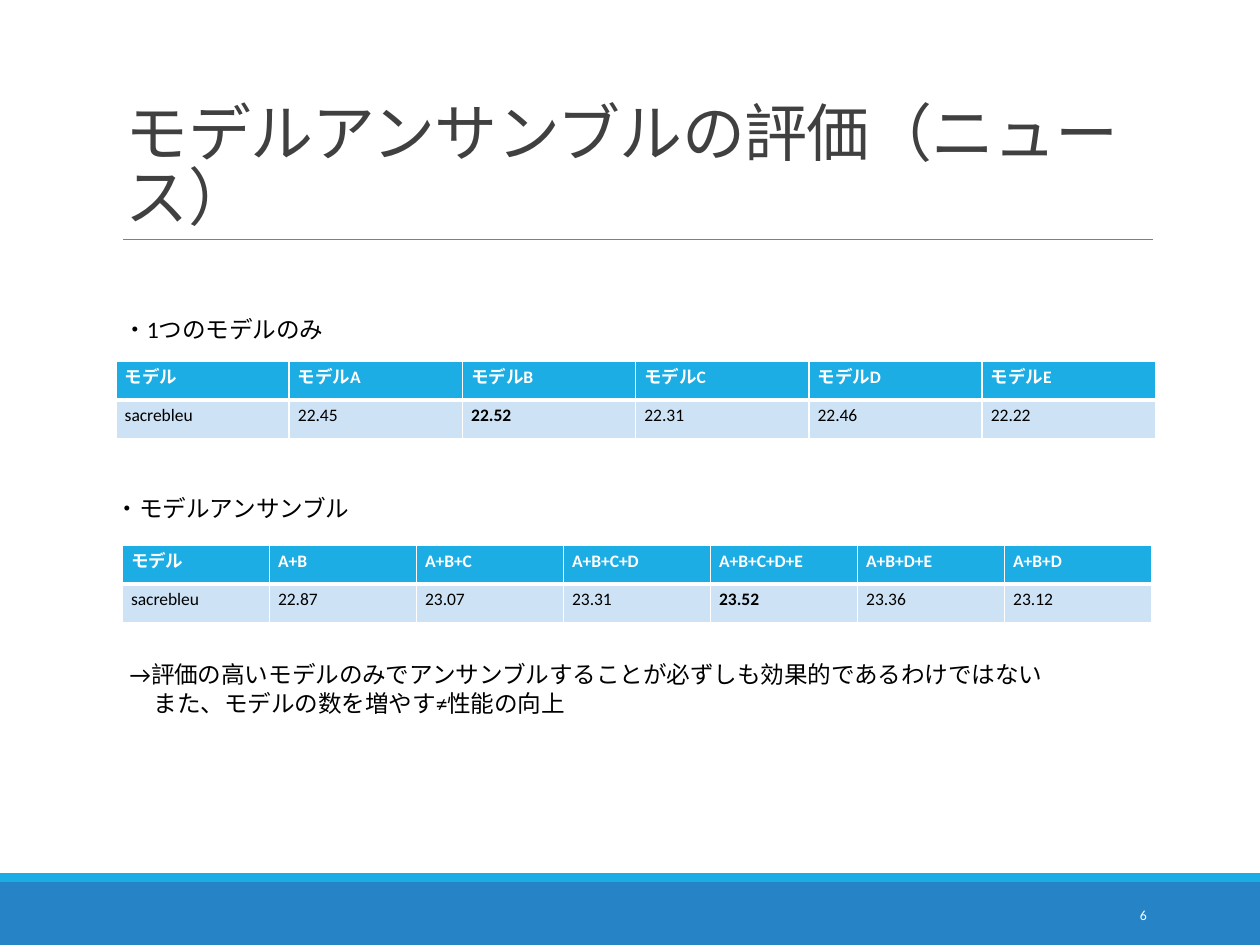
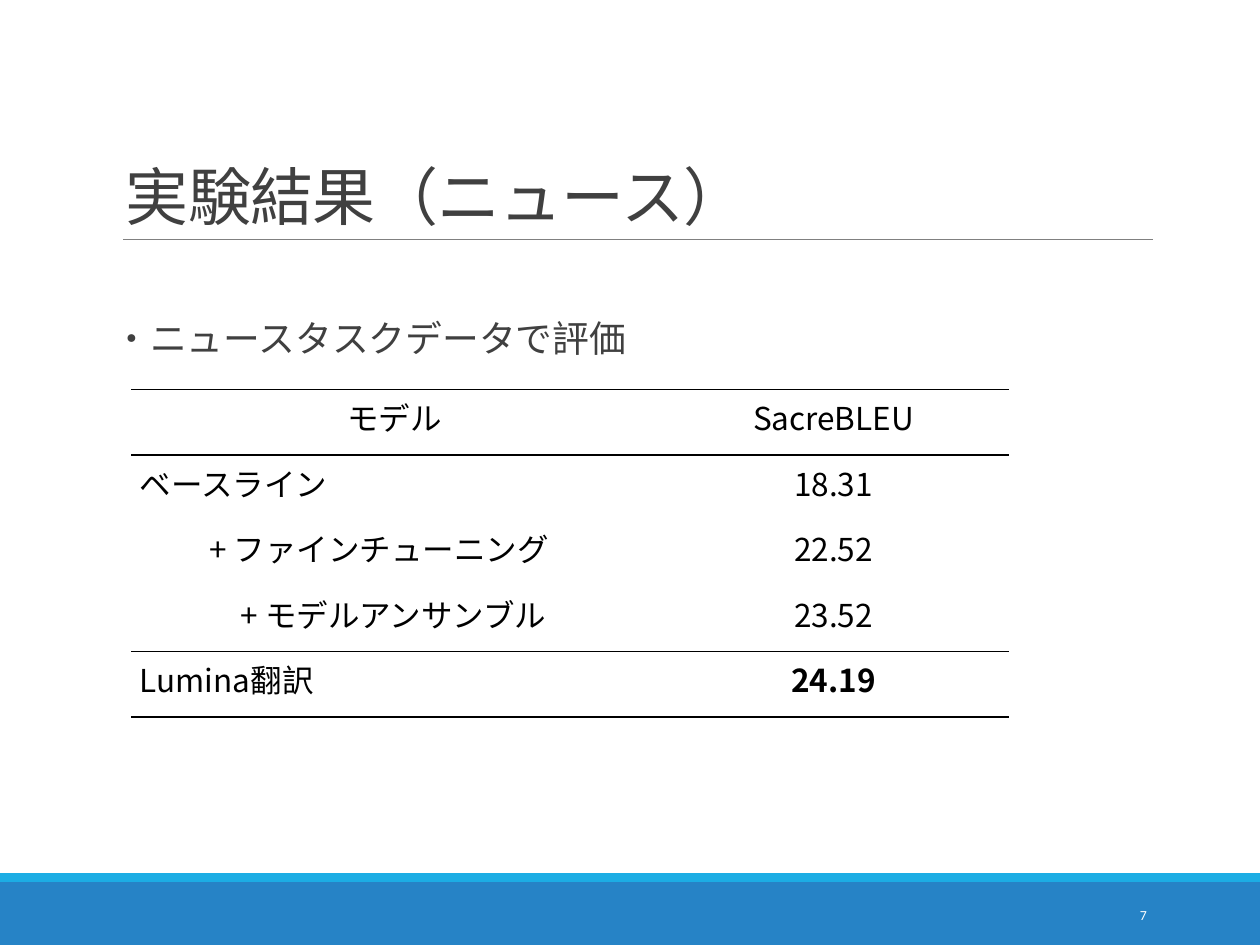
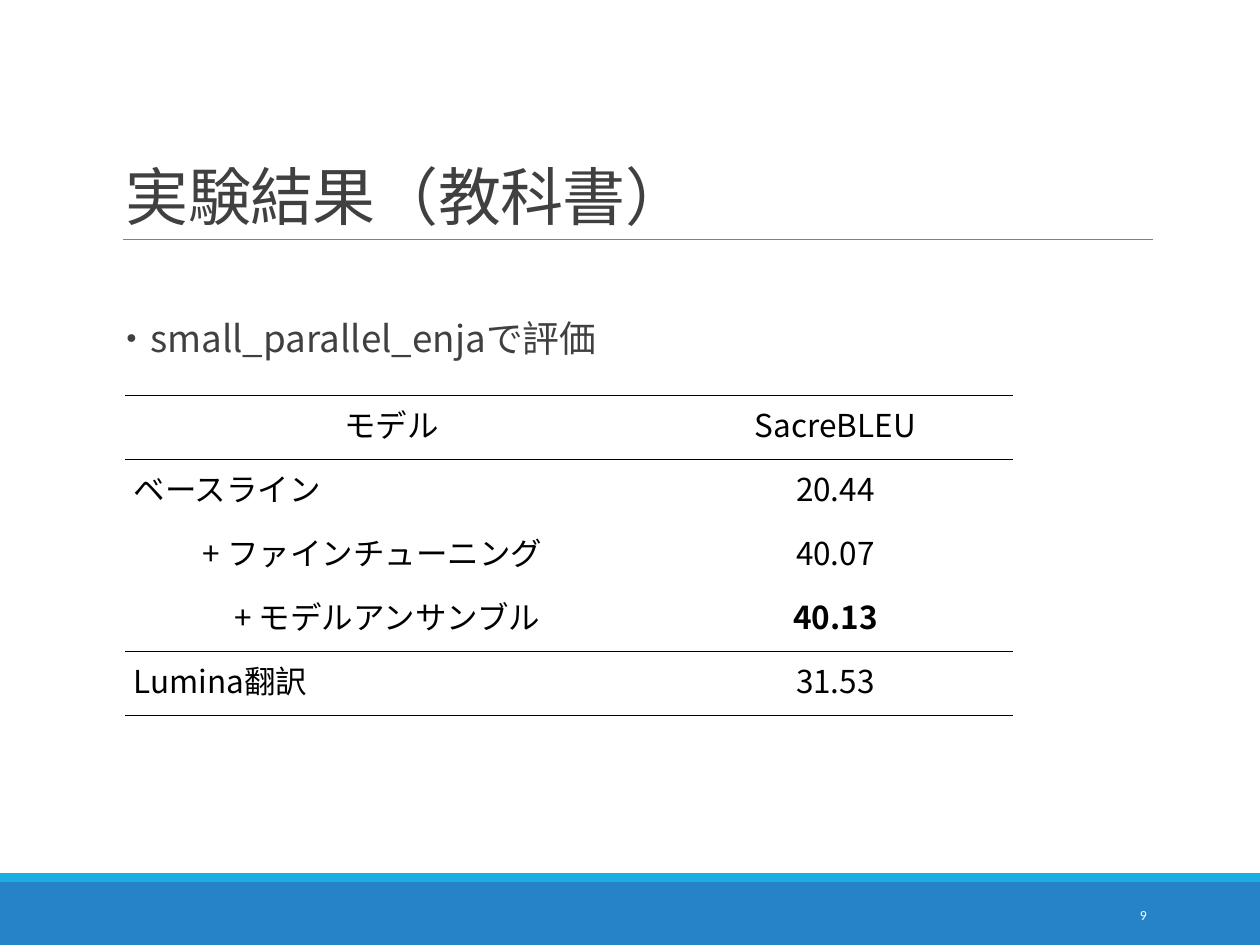
from lxml import etree
from pptx import Presentation
from pptx.dml.color import RGBColor
from pptx.enum import shapes, text
from pptx.oxml import ns
from pptx.util import Inches, Pt

LATIN, GOTHIC = "Calibri", "Noto Sans CJK JP"
BLUE, CYAN, PALE = "2683C6", "1CADE4", "CDE3F5"
INK, BLACK, WHITE, GRAY = "404040", "000000", "FFFFFF", "808080"
INSET_X, INSET_Y = 0.07, 0.04
SIDES = "LRTB"


def color(value):
    return RGBColor.from_string(value)


def child(parent, tag, **attributes):
    return etree.SubElement(parent, ns.qn(tag), attributes)


def set_typeface(font, name):
    font.name = name
    child(font._rPr, "a:ea", typeface=name)


def style(paragraph, size, ink, name, bold=False, align=text.PP_ALIGN.LEFT):
    paragraph.alignment = align
    font = paragraph.font
    font.size, font.bold = Pt(size), bold
    font.color.rgb = color(ink)
    set_typeface(font, name)


def add_runs(paragraph, runs):
    for words, name in runs:
        run = paragraph.add_run()
        run.text = words
        set_typeface(run.font, name)


def text_frame(slide, box, inset_x=0.1, inset_y=0.05, anchor=text.MSO_ANCHOR.TOP):
    frame = slide.shapes.add_textbox(*map(Inches, box)).text_frame
    frame.word_wrap = True
    frame.vertical_anchor = anchor
    frame.margin_left = frame.margin_right = Inches(inset_x)
    frame.margin_top = frame.margin_bottom = Inches(inset_y)
    return frame


def add_band(slide, box, fill):
    band = slide.shapes.add_shape(shapes.MSO_SHAPE.RECTANGLE, *map(Inches, box))
    band.shadow.inherit = False
    band.fill.solid()
    band.fill.fore_color.rgb = color(fill)
    band.line.fill.background()


def add_footer(slide, box, number):
    left, top, width, height = box
    stripe = 0.07
    add_band(slide, (left, top + stripe, width, height - stripe), BLUE)
    add_band(slide, (left, top, width, stripe), CYAN)
    frame = text_frame(slide, (left + 8.12, top + 0.13, 1.08, 0.4),
                       anchor=text.MSO_ANCHOR.MIDDLE)
    paragraph = frame.paragraphs[0]
    paragraph.text = str(number)
    style(paragraph, 7.9, WHITE, LATIN, align=text.PP_ALIGN.RIGHT)


def add_title(slide, box, runs):
    left, top, width, height = box
    bottom = top + height
    rule = slide.shapes.add_connector(
        shapes.MSO_CONNECTOR.STRAIGHT,
        *map(Inches, (left + 0.08, bottom, left + width, bottom)))
    rule.line.color.rgb = color(GRAY)
    rule.line.width = Pt(0.5)
    child(rule._element.spPr, "a:effectLst")
    paragraph = text_frame(slide, box, anchor=text.MSO_ANCHOR.BOTTOM).paragraphs[0]
    add_runs(paragraph, runs)
    paragraph.line_spacing = 0.85
    style(paragraph, 36, INK, LATIN)
    for run in paragraph.runs:
        run.font._rPr.set("spc", "-40")


def add_note(slide, box, lines):
    frame = text_frame(slide, box, INSET_X, INSET_Y)
    for index, (words, indent) in enumerate(lines):
        paragraph = frame.paragraphs[0] if index == 0 else frame.add_paragraph()
        paragraph.text = words
        paragraph._p.get_or_add_pPr().set("marL", str(Inches(indent)))
        style(paragraph, 13.5, BLACK, LATIN)


def add_lead(slide, box, words):
    paragraph = text_frame(slide, box, 0, INSET_Y).paragraphs[0]
    add_runs(paragraph, [("・", LATIN), (words, GOTHIC)])
    paragraph.line_spacing = 0.9
    style(paragraph, 21, INK, LATIN)


def set_borders(cell, borders):
    properties = cell._tc.get_or_add_tcPr()
    for side in SIDES:
        ink, width = borders.get(side, (None, 0))
        line = child(properties, f"a:ln{side}", w=str(Pt(width)))
        if ink:
            child(child(line, "a:solidFill"), "a:srgbClr", val=ink)
        else:
            child(line, "a:noFill")


def add_grid(slide, box, rows):
    table = slide.shapes.add_table(len(rows), len(rows[0]), *map(Inches, box)).table
    table.first_row = table.horz_banding = False
    for r, row in enumerate(rows):
        for c, words in enumerate(row):
            cell = table.cell(r, c)
            cell.text = words
            cell.margin_left = cell.margin_right = Inches(INSET_X)
            cell.margin_top = cell.margin_bottom = Inches(INSET_Y)
            yield r, c, cell, table


def add_score_table(slide, box, models, scores, best):
    rows = [["モデル", *models], ["sacrebleu", *scores]]
    for r, c, cell, table in add_grid(slide, box, rows):
        header = r == 0
        borders = dict.fromkeys(SIDES, (WHITE, 1))
        borders["B" if header else "T"] = (WHITE, 3)
        set_borders(cell, borders)
        cell.fill.solid()
        cell.fill.fore_color.rgb = color(CYAN if header else PALE)
        style(cell.text_frame.paragraphs[0], 10, WHITE if header else BLACK,
              LATIN, header or cell.text == best)


def add_result_table(slide, box, scores, best):
    models = ["ベースライン", "+ ファインチューニング", "+ モデルアンサンブル", "Lumina翻訳"]
    indents = [0, 0, 0.55, 0.8, 0]
    ruled = {0: "TB", 1: "T", 3: "B", 4: "TB"}
    rows = [("モデル", "SacreBLEU"), *zip(models, scores)]
    for r, c, cell, table in add_grid(slide, box, rows):
        set_borders(cell, dict.fromkeys(ruled.get(r, ""), (BLACK, 1)))
        cell.fill.background()
        centred = r == 0 or c == 1
        if c == 0:
            cell.margin_left = Inches(INSET_X + indents[r])
        style(cell.text_frame.paragraphs[0], 18, BLACK, GOTHIC, cell.text == best,
              text.PP_ALIGN.CENTER if centred else text.PP_ALIGN.LEFT)
    for column, share in zip(table.columns, (0.6, 0.4)):
        column.width = Inches(box[2] * share)


def add_page(deck, title, number):
    slide = deck.slides.add_slide(deck.slide_layouts[6])
    add_footer(slide, (0, 6.93, 10, 0.57), number)
    add_title(slide, (0.9, 0.31, 8.25, 1.59), title)
    return slide


def ensemble_page(deck):
    slide = add_page(deck, [("モデルアンサンブルの評価（ニュース）", LATIN)], 6)
    add_note(slide, (0.91, 2.46, 3.43, 0.3), [("・1つのモデルのみ", 0)])
    add_score_table(slide, (0.92, 2.87, 8.25, 0.61), [f"モデル{name}" for name in "ABCDE"],
                    ["22.45", "22.52", "22.31", "22.46", "22.22"], "22.52")
    add_note(slide, (0.85, 3.88, 2.25, 0.3), [("・モデルアンサンブル", 0)])
    add_score_table(slide, (0.97, 4.33, 8.17, 0.61),
                    ["A+B", "A+B+C", "A+B+C+D", "A+B+C+D+E", "A+B+D+E", "A+B+D"],
                    ["22.87", "23.07", "23.31", "23.52", "23.36", "23.12"], "23.52")
    add_note(slide, (0.96, 5.2, 7.4, 0.53), [
        ("→評価の高いモデルのみでアンサンブルすることが必ずしも効果的であるわけではない", 0),
        ("また、モデルの数を増やす≠性能の向上", 0.19)])


def result_page(deck, title, number, lead, box, scores, best):
    slide = add_page(deck, title, number)
    add_lead(slide, (0.9, 2.51, 8.25, 3.3), lead)
    add_result_table(slide, box, scores, best)


def main():
    deck = Presentation()
    deck.slide_width, deck.slide_height = Inches(10), Inches(7.5)
    ensemble_page(deck)
    result_page(deck, [("実験結果（ニュース）", LATIN)], 7, "ニュースタスクデータで評価",
                (1.04, 3.09, 6.97, 2.6), ["18.31", "22.52", "23.52", "24.19"], "24.19")
    result_page(deck, [("実験結果（", LATIN), ("教科書", GOTHIC), ("）", LATIN)], 9,
                "small_parallel_enjaで評価",
                (0.99, 3.14, 7.05, 2.54), ["20.44", "40.07", "40.13", "31.53"], "40.13")
    deck.save("out.pptx")


if __name__ == "__main__":
    main()
